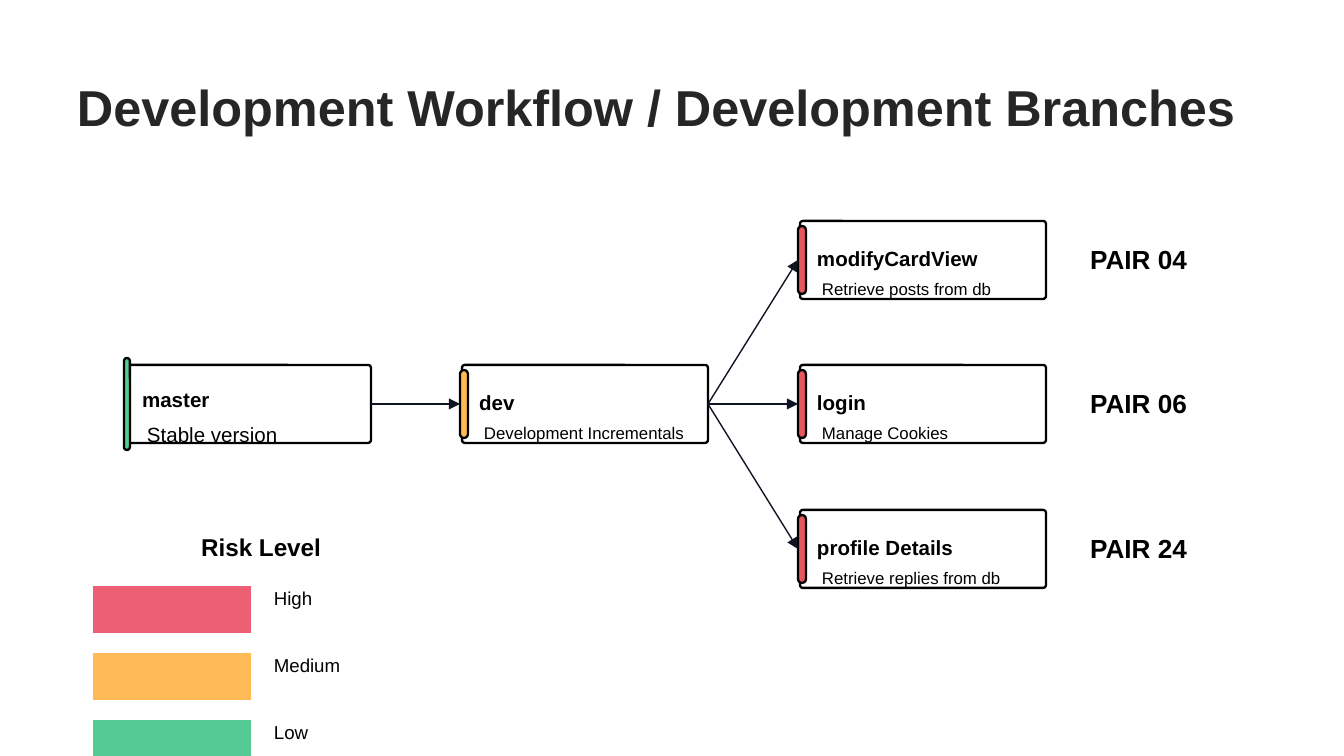
from pptx import Presentation, util as u
from pptx.dml.color import RGBColor
from pptx.enum import shapes, text
from pptx.oxml import parse_xml
from pptx.oxml.ns import nsdecls, qn
from lxml import etree

BLACK, WHITE, INK = "000000", "FFFFFF", "0F1423"
HIGH, MEDIUM, LOW = "E8565E", "FFBA55", "56CA95"
BOX_W, BOX_H = 246, 78
COL_X = (125, 462, 800)
ROW_Y = (221, 365, 510)


def px(n):
    return u.Emu(round(n * 914400 / 134.4))


def color(value):
    return RGBColor.from_string(value)


class Deck:
    font = "Arial"

    def __init__(self, width, height):
        self.prs = Presentation()
        self.prs.slide_width, self.prs.slide_height = px(width), px(height)

    def add_slide(self):
        self.s = self.prs.slides.add_slide(self.prs.slide_layouts[5])

    def run(self, p, words, size, bold=False, fill=BLACK):
        r = p.add_run()
        r.text = words
        r.font.name, r.font.size, r.font.bold = self.font, u.Pt(size), bold
        r.font.color.rgb = color(fill)

    def frame(self, tf, inset_x, inset_y, auto_size):
        tf.word_wrap = True
        tf.auto_size = auto_size
        tf.margin_left = tf.margin_right = px(inset_x)
        tf.margin_top = tf.margin_bottom = px(inset_y)

    def title(self, words, x, y, w, h):
        sp = self.s.shapes.title
        sp.left, sp.top, sp.width, sp.height = map(px, (x, y, w, h))
        tf = sp.text_frame
        self.frame(tf, 10, 5, text.MSO_AUTO_SIZE.NONE)
        tf.vertical_anchor = text.MSO_ANCHOR.MIDDLE
        p = tf.paragraphs[0]
        p.alignment = text.PP_ALIGN.LEFT
        self.run(p, words, 27, True, "262626")

    def label(self, words, x, y, w, h, size, bold=False, inset=(10, 5), spacing=1.5):
        tf = self.s.shapes.add_textbox(*map(px, (x, y, w, h))).text_frame
        self.frame(tf, *inset, text.MSO_AUTO_SIZE.SHAPE_TO_FIT_TEXT)
        p = tf.paragraphs[0]
        p.line_spacing = spacing
        self.run(p, words, size, bold)

    def rounded(self, x, y, w, h, fill, corner):
        sp = self.s.shapes.add_shape(
            shapes.MSO_SHAPE.ROUNDED_RECTANGLE, *map(px, (x, y, w, h)))
        sp.adjustments[0] = corner
        sp.shadow.inherit = False
        sp.fill.solid()
        sp.fill.fore_color.rgb = color(fill)
        sp.line.color.rgb = color(BLACK)
        sp.line.width = u.Pt(1.25)
        return sp

    def branch(self, name, note, x, y, risk, bar=(8, 68), lift=0, note_size=9):
        """Draw one branch card and return its box and risk bar."""
        box = self.rounded(x, y, BOX_W, BOX_H, WHITE, 0.037)
        w, h = bar
        strip = self.rounded(x + 2 - w // 2, y + (BOX_H - h) // 2, w, h, risk, 0.5)
        self.label(name, x + 7, y + 8 - lift, 190, 35, 11, True)
        self.label(note, x + 12, y + 43 - lift, 223, 31, note_size)
        return box, strip

    def arrow(self, start, end):
        """Join the right side of start to the left side of end."""
        c = self.s.shapes.add_connector(shapes.MSO_CONNECTOR.STRAIGHT, 0, 0, 0, 0)
        c.begin_connect(start, 3)
        c.end_connect(end, 1)
        c.line.color.rgb = color(INK)
        c.line.width = u.Pt(0.75)
        etree.SubElement(c.line._get_or_add_ln(), qn("a:tailEnd"), type="triangle")
        etree.SubElement(c._element.spPr, qn("a:effectLst"))

    def cell(self, cell, words="", size=10, bold=False, fill=None):
        if fill:
            cell.fill.solid()
            cell.fill.fore_color.rgb = color(fill)
        else:
            cell.fill.background()
        cell.margin_left = cell.margin_right = px(13)
        cell.margin_top = cell.margin_bottom = px(13)
        for i, side in enumerate("LRTB"):
            cell._tc.get_or_add_tcPr().insert(i, parse_xml(
                f'<a:ln{side} {nsdecls("a")} w="{u.Pt(12)}"><a:solidFill>'
                f'<a:srgbClr val="{WHITE}"/></a:solidFill></a:ln{side}>'))
        if words:
            self.run(cell.text_frame.paragraphs[0], words, size, bold)

    def legend(self, heading, levels, x, y, col_w, head_h, row_h):
        table = self.s.shapes.add_table(
            len(levels) + 1, 2, px(x), px(y), px(2 * col_w),
            px(head_h + row_h * len(levels))).table
        table.first_row = table.horz_banding = False
        for col in table.columns:
            col.width = px(col_w)
        for i, row in enumerate(table.rows):
            row.height = px(row_h if i else head_h)
        head = table.cell(0, 0)
        head.merge(table.cell(0, 1))
        self.cell(head, heading, 13, True)
        self.cell(table.cell(0, 1))
        head.vertical_anchor = text.MSO_ANCHOR.MIDDLE
        head.text_frame.paragraphs[0].alignment = text.PP_ALIGN.CENTER
        for i, (words, fill) in enumerate(levels, 1):
            self.cell(table.cell(i, 0), fill=fill)
            self.cell(table.cell(i, 1), words)


def main():
    deck = Deck(1344, 756)
    deck.add_slide()
    deck.title("Development Workflow / Development Branches", 67, 67, 1210, 78)

    master, _ = deck.branch("master", "Stable version", COL_X[0], ROW_Y[1], LOW,
                            bar=(6, 92), lift=3, note_size=11)
    dev, dev_bar = deck.branch("dev", "Development Incrementals",
                               COL_X[1], ROW_Y[1], MEDIUM)
    features = (("modifyCardView", "Retrieve posts from db", "PAIR 04"),
                ("login", "Manage Cookies", "PAIR 06"),
                ("profile Details", "Retrieve replies from db", "PAIR 24"))
    deck.arrow(master, dev_bar)
    for y, (name, note, pair) in zip(ROW_Y, features):
        _, bar = deck.branch(name, note, COL_X[2], y, HIGH)
        deck.arrow(dev, bar)
        deck.label(pair, 1077, y + 9, 144, 59, 14, True, inset=(13, 13), spacing=1)

    deck.legend("Risk Level", (("High", "EC5F74"), ("Medium", MEDIUM), ("Low", LOW)),
                83, 521, 178, 55, 67)
    deck.prs.save("out.pptx")


if __name__ == "__main__":
    main()
